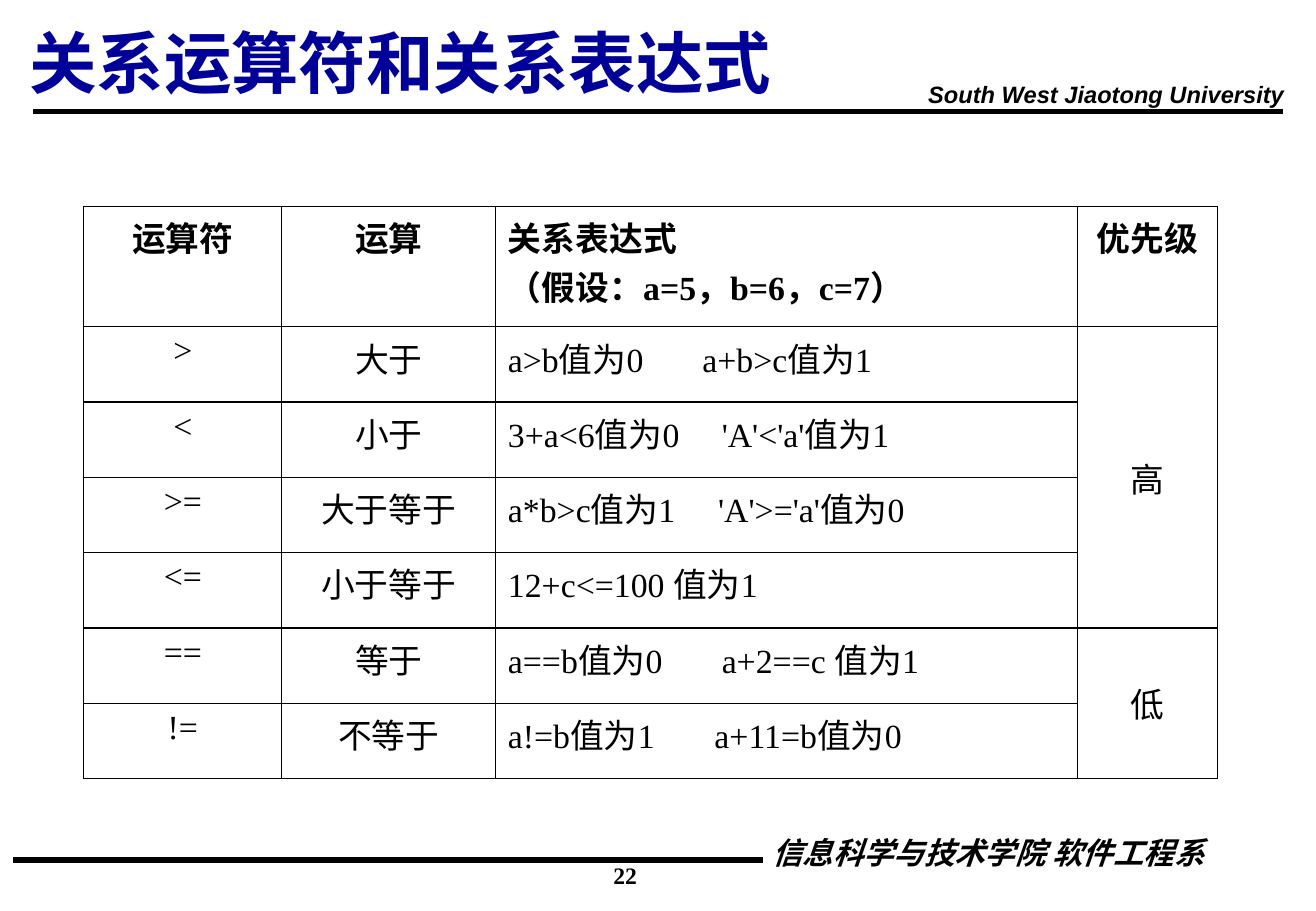
import pptx
import pptx.util
import pptx.dml.color
import pptx.enum.shapes
import pptx.enum.text
import pptx.oxml
import pptx.oxml.ns

Inches = pptx.util.Inches
Pt = pptx.util.Pt
ALIGN = pptx.enum.text.PP_ALIGN
ANCHOR = pptx.enum.text.MSO_ANCHOR
AUTO = pptx.enum.text.MSO_AUTO_SIZE

COLORS = {"ink": "000000", "title": "000099"}
LATIN, CJK = "Times New Roman", "Noto Sans CJK SC"

HEADINGS = ["运算符", "运算", "关系表达式\n（假设：a=5，b=6，c=7）", "优先级"]
OPERATORS = [
    (">", "大于", "a>b值为0\ta+b>c值为1", 1.6),
    ("<", "小于", "3+a<6值为0\t'A'<'a'值为1", 1.76),
    (">=", "大于等于", "a*b>c值为1\t'A'>='a'值为0", 1.73),
    ("<=", "小于等于", "12+c<=100 值为1", None),
    ("==", "等于", "a==b值为0\ta+2==c 值为1", 1.76),
    ("!=", "不等于", "a!=b值为1\ta+11=b值为0", 1.7),
]
PRIORITIES = [("高", 1, 4), ("低", 5, 6)]
COLUMN_WIDTHS = [1.63, 1.76, 4.79, 1.15]
ROW_HEIGHTS = [0.99] + [0.62] * 6
STRONG_RULES = {0, 1, 5, 7}


def write(frame, text, size=20, font=LATIN, color="ink", bold=False, italic=False,
          align=ALIGN.LEFT, spacing=None, tab=None):
    """Fill a text frame with one formatted paragraph per line."""
    for index, line in enumerate(text.split("\n")):
        paragraph = frame.add_paragraph() if index else frame.paragraphs[0]
        properties = paragraph._p.get_or_add_pPr()
        if tab:
            stops = pptx.oxml.parse_xml(
                f'<a:tabLst {pptx.oxml.ns.nsdecls("a")}>'
                f'<a:tab pos="{Inches(tab)}" algn="l"/></a:tabLst>')
            properties.append(stops)
        paragraph.alignment = align
        if spacing:
            paragraph.line_spacing = spacing
        run = paragraph.add_run()
        run.text = line
        run.font.size = Pt(size)
        run.font.name = font
        run.font.bold = bold
        run.font.italic = italic
        run.font.color.rgb = pptx.dml.color.RGBColor.from_string(COLORS[color])
        run._r.get_or_add_rPr().append(pptx.oxml.parse_xml(
            f'<a:ea {pptx.oxml.ns.nsdecls("a")} typeface="{CJK}"/>'))


class SlideBuilder:
    """Hold the presentation, its style and the current slide."""

    def __init__(self, width, height):
        self.deck = pptx.Presentation()
        self.deck.slide_width = Inches(width)
        self.deck.slide_height = Inches(height)
        self.slide = self.deck.slides.add_slide(self.deck.slide_layouts[5])

    def title(self, text, left, top, width, height):
        heading = self.slide.shapes.title
        heading.left, heading.top = Inches(left), Inches(top)
        heading.width, heading.height = Inches(width), Inches(height)
        heading.text_frame.vertical_anchor = ANCHOR.MIDDLE
        heading.text_frame.auto_size = AUTO.NONE
        write(heading.text_frame, text, size=40, color="title", bold=True)

    def rule(self, start, end, height):
        line = self.slide.shapes.add_connector(
            pptx.enum.shapes.MSO_CONNECTOR.STRAIGHT,
            Inches(start), Inches(height), Inches(end), Inches(height))
        line.line.width = Pt(3)
        line.line.color.rgb = pptx.dml.color.RGBColor.from_string(COLORS["ink"])
        line._element.spPr.append(pptx.oxml.parse_xml(
            f'<a:effectLst {pptx.oxml.ns.nsdecls("a")}/>'))

    def label(self, text, left, top, width, height, wrap=True, grow=False, **style):
        box = self.slide.shapes.add_textbox(
            Inches(left), Inches(top), Inches(width), Inches(height))
        box.text_frame.word_wrap = wrap
        box.text_frame.auto_size = AUTO.SHAPE_TO_FIT_TEXT if grow else AUTO.NONE
        write(box.text_frame, text, bold=True, **style)

    def border(self, cell, row):
        widths = {"L": 0.75, "R": 0.75,
                  "T": 1 if row in STRONG_RULES else 0.75,
                  "B": 1 if row + 1 in STRONG_RULES else 0.75}
        for side, width in widths.items():
            cell._tc.get_or_add_tcPr().append(pptx.oxml.parse_xml(
                f'<a:ln{side} {pptx.oxml.ns.nsdecls("a")} w="{Pt(width)}"><a:solidFill>'
                f'<a:srgbClr val="{COLORS["ink"]}"/></a:solidFill></a:ln{side}>'))
        cell.fill.background()

    def operator_table(self, left, top):
        table = self.slide.shapes.add_table(
            len(ROW_HEIGHTS), len(COLUMN_WIDTHS), Inches(left), Inches(top),
            Inches(sum(COLUMN_WIDTHS)), Inches(sum(ROW_HEIGHTS))).table
        table.first_row = table.horz_banding = False
        for column, width in zip(table.columns, COLUMN_WIDTHS):
            column.width = Inches(width)
        for row, height in enumerate(ROW_HEIGHTS):
            table.rows[row].height = Inches(height)
            for column in range(len(COLUMN_WIDTHS)):
                self.border(table.cell(row, column), row)
        for column, heading in enumerate(HEADINGS):
            write(table.cell(0, column).text_frame, heading, bold=True,
                  align=ALIGN.LEFT if column == 2 else ALIGN.CENTER)
        for row, (symbol, meaning, example, tab) in enumerate(OPERATORS, 1):
            write(table.cell(row, 0).text_frame, symbol, align=ALIGN.CENTER)
            write(table.cell(row, 1).text_frame, meaning, align=ALIGN.CENTER)
            write(table.cell(row, 2).text_frame, example, tab=tab)
        for priority, first, last in PRIORITIES:
            cell = table.cell(first, 3)
            cell.merge(table.cell(last, 3))
            cell.vertical_anchor = ANCHOR.MIDDLE
            write(cell.text_frame, priority, align=ALIGN.CENTER)


def main():
    builder = SlideBuilder(10.83, 7.5)
    builder.rule(10.56, 0.27, 0.92)
    builder.label("South West Jiaotong University", 7.54, 0.67, 3.14, 0.27, wrap=False,
                  grow=True, size=14, font="Arial", italic=True, spacing=0.7)
    builder.rule(6.28, 0.11, 7.08)
    builder.label("信息科学与技术学院 软件工程系", 5.26, 6.9, 4.75, 0.31, grow=True,
                  size=18, font=CJK, italic=True, align=ALIGN.RIGHT, spacing=0.7)
    builder.label("22", 3.43, 7.04, 3.43, 0.33, size=14, align=ALIGN.CENTER)
    builder.title("关系运算符和关系表达式", 0.14, 0.12, 9.21, 0.77)
    builder.operator_table(0.69, 1.7)
    builder.deck.save("out.pptx")


if __name__ == "__main__":
    main()
